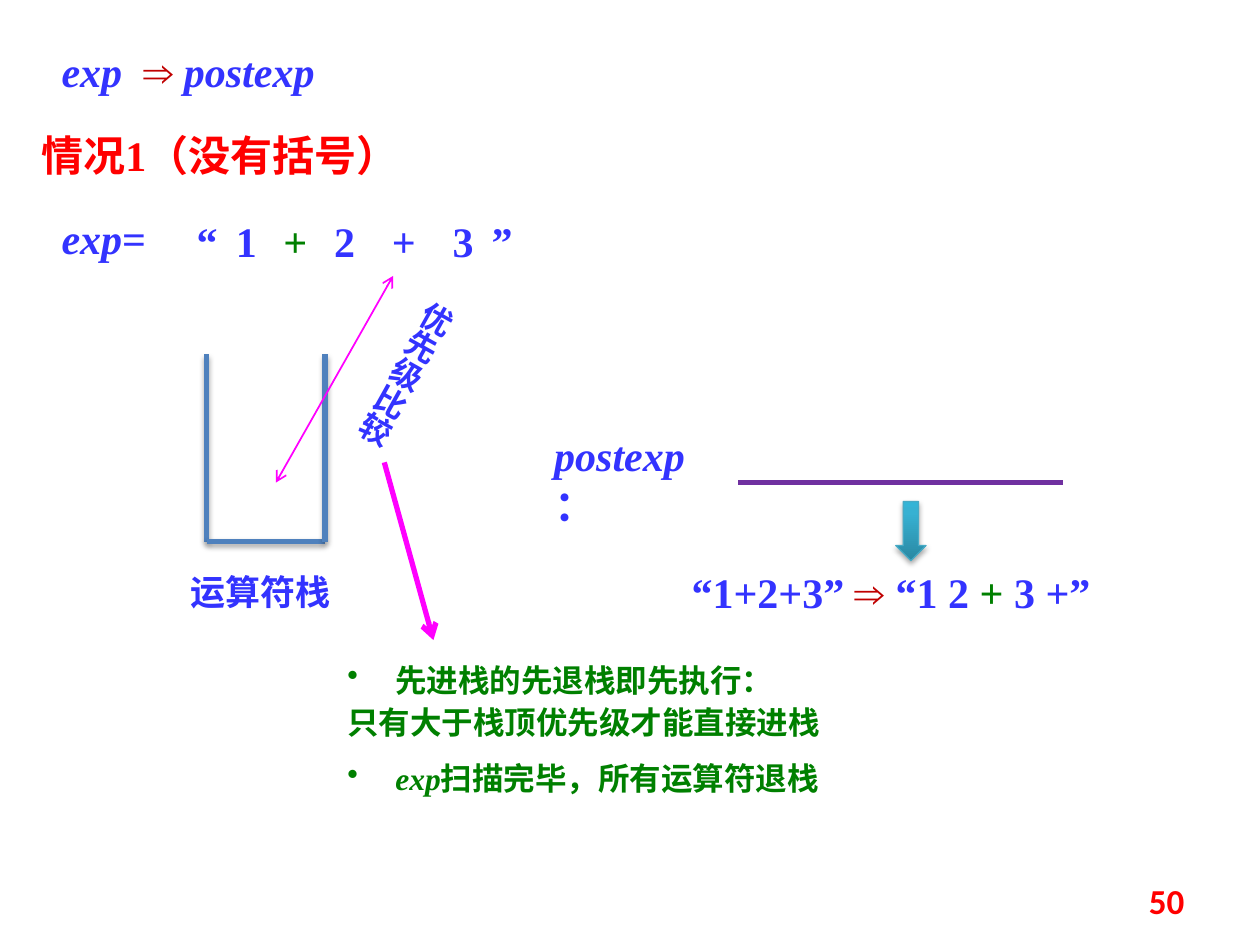
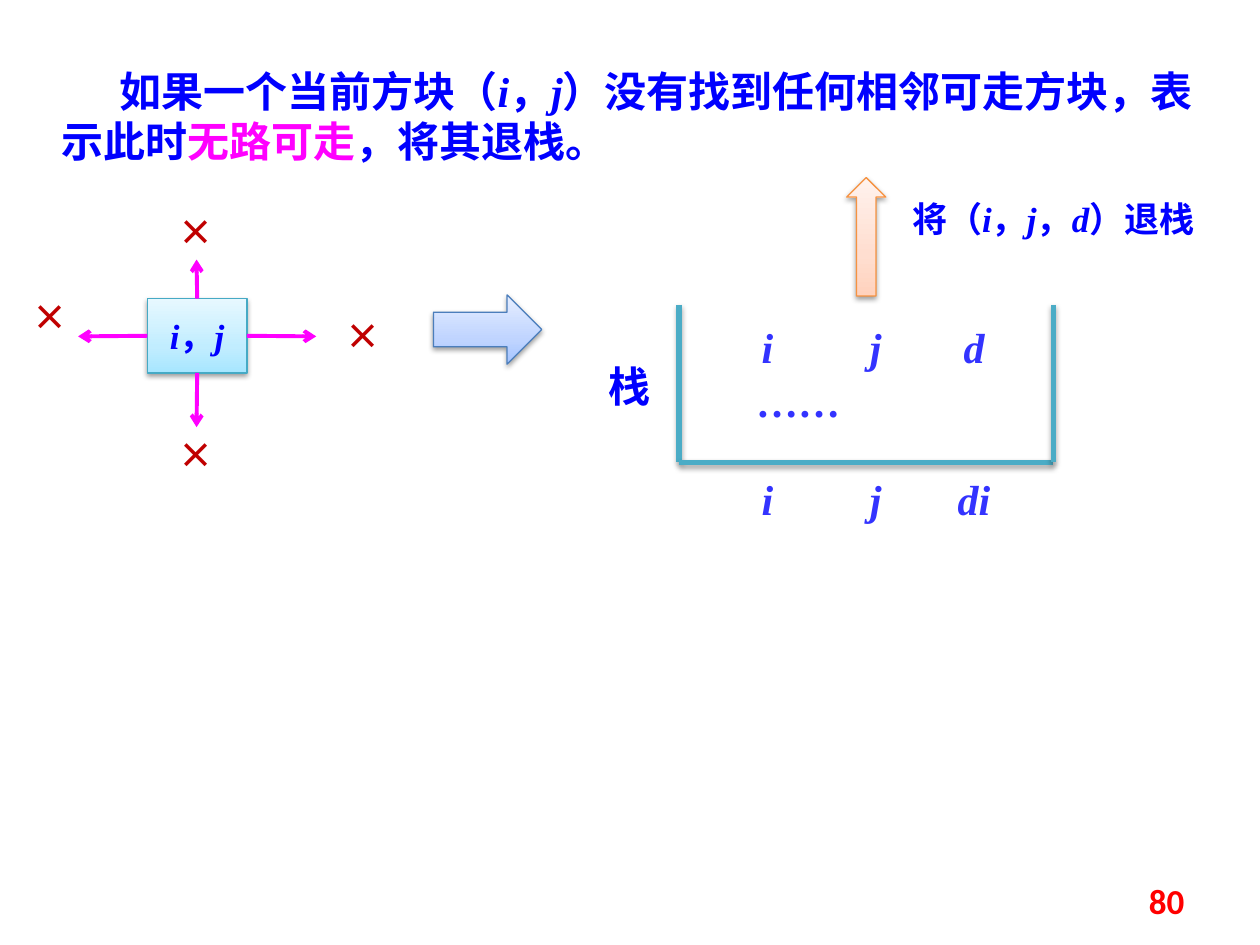
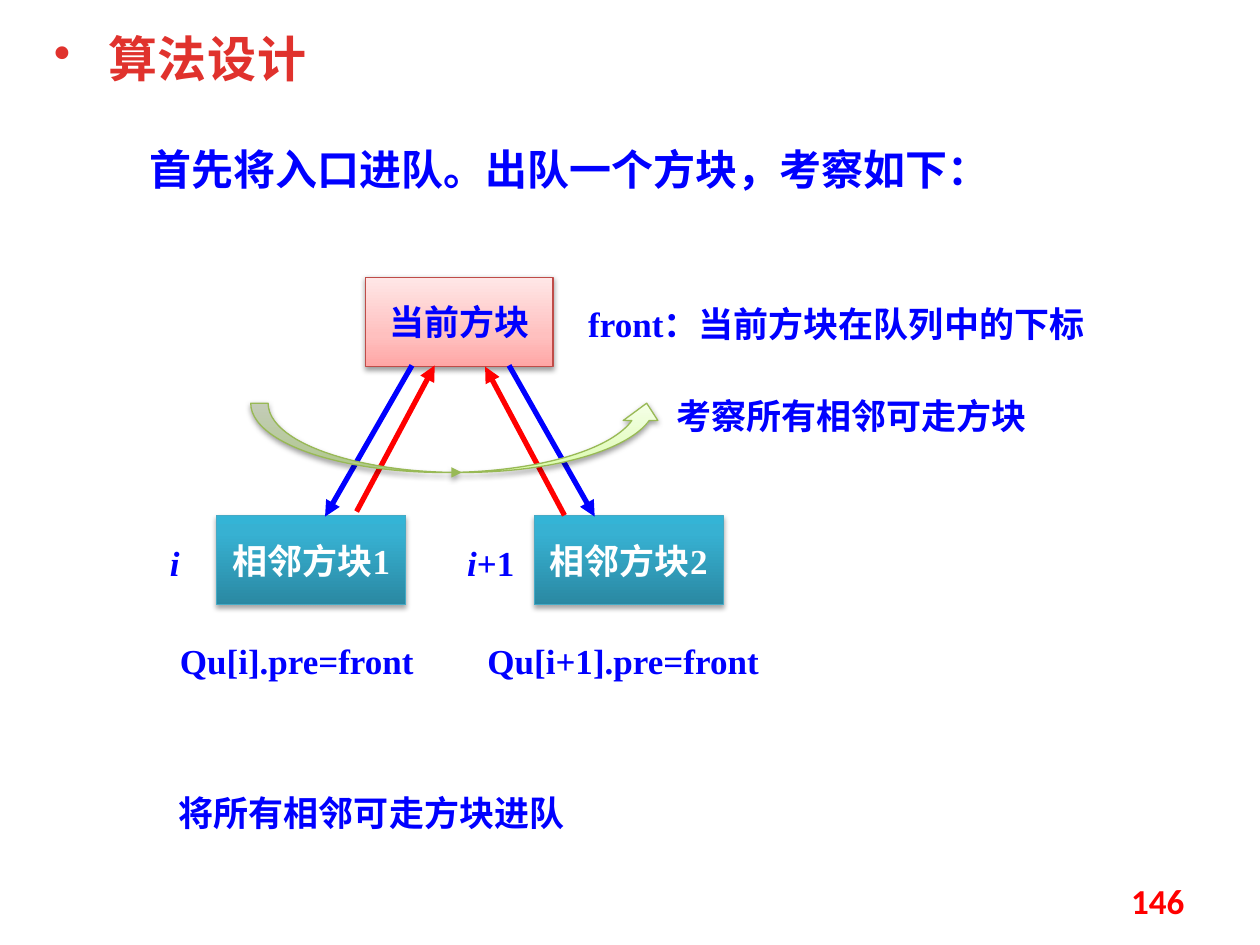
from lxml.etree import SubElement
from pptx import Presentation
from pptx.dml.color import RGBColor
from pptx.enum.shapes import MSO_CONNECTOR, MSO_SHAPE as SHAPE
from pptx.enum.text import MSO_ANCHOR, MSO_AUTO_SIZE, PP_ALIGN as ALIGN
from pptx.oxml.ns import qn
from pptx.util import Inches, Pt

# Shared look
COLUMNS, ROWS = 10, 7.5
COLUMN = Inches(10) / COLUMNS
ROW = Inches(7.5) / ROWS

COLORS = {
    "indigo": "3333FF", "blue": "0000FF", "red": "FF0000", "crimson": "C00000",
    "green": "008000", "magenta": "FF00FF", "purple": "7030A0", "white": "FFFFFF",
    "steel": "4F81BD", "aqua": "4BACC6", "title": "E0322D", "black": "000000",
}
SERIF, SANS = "Times New Roman", "Noto Sans CJK SC"
BASE = {"name": SERIF, "size": 24, "bold": True, "italic": False, "color": "indigo"}

# Shadows: opacity in percent, distance in points
STRONG, SOFT = (35, 1.8), (38, 1.6)
# Block looks: gradient stops from the bottom up, outline, shadow
LOOKS = {
    "teal": ([(0, "2A88A2"), (80, "37B1D2"), (100, "34B4D6")], "46AAC5", STRONG),
    "sky": ([(0, "A7E6FF"), (35, "C1EDFF"), (100, "E7F8FF")], "46AAC5", SOFT),
    "peach": ([(0, "FFD2BD"), (35, "FFDED0"), (100, "FFF2ED")], "F69240", SOFT),
    "pale": ([(0, "A4C4FF"), (35, "BFD4FF"), (100, "E6EEFF")], "4B7EBC", SOFT),
    "rose": ([(0, "FFA6A5"), (35, "FFC0BF"), (100, "FFE7E7")], "BF4C48", SOFT),
    "lime": ([(0, "DAFDA7"), (35, "E4FCC2"), (100, "F5FFE7")], "98B955", SOFT),
}

# Run and box formats
ITALIC = {"italic": True}
CRIMSON, GREEN, PINK = ({"color": name} for name in ("crimson", "green", "magenta"))
BLUE = {"color": "blue"}
BLUE_20 = {"color": "blue", "size": 20}
LABEL = {"name": SANS, "size": 20}
NOTE = {"name": SANS, "size": 18, "color": "green"}
CROSS = {**LABEL, **CRIMSON}
WHITE_20 = {"color": "white", "size": 20}
BULLET = {"indent": (0.38, -0.38), "bullet": True, "line_spacing": Pt(24)}
CENTER = {"align": ALIGN.CENTER}
TIGHT = {**CENTER, "inset": 0}
TOP, LEFT, BOTTOM, RIGHT = range(4)

# Slide 1: characters of the expression, each with its left edge
EXPRESSION = [("“", 1.41), ("1", 1.72), ("+", 2.11), ("2", 2.5),
              ("+", 2.97), ("3", 3.44), ("”", 3.75)]
PRIORITY_SLIDE = [
    ("text", (0.39, 0.31, 2.73, 0.5),
     [[("exp", ITALIC), (" ", {"spacing": 6}), ("⇒ ", CRIMSON), ("postexp", ITALIC)]]),
    ("text", (0.23, 0.98, 3.36, 0.5), ["情况1（没有括号）"], {"color": "red"}),
    ("text", (0.39, 1.64, 1.02, 0.5), [[("exp", ITALIC), "="]]),
    ("stack", (1.64, 2.81, 2.58, 4.3), "steel"),
    ("text", (1.41, 4.48, 1.41, 0.44), ["运算符栈"], LABEL),
    ("text", (4.3, 3.36, 1.56, 0.5), [[("postexp", ITALIC), "："]]),
    ("line", (5.86, 3.83), (8.44, 3.83), "purple", 3),
    *[("text", (left, 1.71, 0.47, 0.4), [sign],
       GREEN if (sign, left) == ("+", 2.11) else {}, TIGHT) for sign, left in EXPRESSION],
    ("line", (3.12, 2.19), (2.19, 3.83), "magenta", 1, {"headEnd": "arrow", "tailEnd": "arrow"}),
    ("text", (2.84, 2.2, 0.5, 1.8), ["优先级比较"], {"name": SANS, "size": 18},
     {**CENTER, "rotation": 29.1, "vertical": "eaVert"}),
    ("text", (2.66, 5.16, 4.84, 0.77),
     ["先进栈的先退栈即先执行：", "只有大于栈顶优先级才能直接进栈"], NOTE, BULLET),
    ("line", (3.05, 3.67), (3.44, 5.08), "magenta", 3, {"tailEnd": "arrow"}),
    ("block", SHAPE.DOWN_ARROW, (7.11, 3.98, 0.24, 0.47), "teal"),
    ("text", (5.39, 4.45, 4.22, 0.5),
     [["“1+2+3”", (" ⇒ ", CRIMSON), "“1 2 ", ("+", GREEN), " 3 +”"]]),
    ("text", (2.66, 5.94, 4.84, 0.44),
     [[("exp", {"name": SERIF, "italic": True}), "扫描完毕，所有运算符退栈"]], NOTE, BULLET),
]

# Slide 2: the four ways out of a square, and the stack entries
WAYS = [(RIGHT, (2.51, 2.67)), (BOTTOM, (1.56, 3.39)), (LEFT, (0.62, 2.67)), (TOP, (1.56, 2.06))]
CROSSES = [(2.57, 2.45), (1.24, 1.62), (1.24, 3.39), (0.08, 2.3)]
ENTRY_COLUMNS = (5.7, 6.56, 7.34)
ENTRIES = [(2.5, ("i", "j", "d")), (3.71, ("i", "j", "di"))]
BACKTRACK_SLIDE = [
    ("text", (0.39, 0.47, 9.45, 0.91),
     [["如果一个当前方块（", ("i", ITALIC), "，", ("j", ITALIC),
       "）没有找到任何相邻可走方块，表示此时", ("无路可走", PINK), "，将其退栈。"]],
     BLUE, {"indent": (0, 0.46)}),
    ("block", SHAPE.RECTANGLE, (1.17, 2.37, 0.79, 0.59), "sky",
     [[("i", ITALIC), "，", ("j", ITALIC)]], BLUE_20),
    *[("line", side, end, "magenta", 2.25, {"tailEnd": "arrow"}) for side, end in WAYS],
    *[("text", (*corner, 0.63, 0.44), ["×"], CROSS, CENTER) for corner in CROSSES],
    *[("text", (left, top, 0.78, 0.5), [name], ITALIC, CENTER)
      for top, names in ENTRIES for left, name in zip(ENTRY_COLUMNS, names)],
    ("stack", (5.39, 2.42, 8.36, 3.67), "aqua"),
    ("text", (4.53, 2.81, 0.94, 0.5), ["栈"], {"name": SANS, "color": "blue"}, CENTER),
    ("text", (7.03, 1.52, 2.66, 0.44),
     [["将（", ("i", ITALIC), "，", ("j", ITALIC), "，", ("d", ITALIC), "）退栈"]],
     BLUE_20, CENTER),
    ("block", SHAPE.UP_ARROW, (6.72, 1.41, 0.31, 0.94), "peach"),
    ("block", SHAPE.RIGHT_ARROW, (3.44, 2.34, 0.86, 0.55), "pale"),
    ("text", (5.63, 2.93, 1.41, 0.5), ["……"], {}, CENTER),
]

# Slide 3: arrows between the current square and its neighbours
MOVES = [((3.27, 2.9), (2.58, 4.1), "blue"), ((4.04, 2.9), (4.72, 4.1), "blue"),
         ((2.83, 4.06), (3.45, 2.9), "red"), ((4.48, 4.09), (3.85, 2.91), "red")]
CAPTIONS = [
    ((4.57, 2.35, 4.22, 0.44), "front：当前方块在队列中的下标"),
    ((1.25, 4.25, 0.31, 0.43), [("i", ITALIC)]),
    ((3.61, 4.25, 0.63, 0.43), [("i", ITALIC), "+1"]),
    ((1.33, 5.03, 2.2, 0.43), "Qu[i].pre=front"),
    ((3.77, 5.03, 2.52, 0.43), "Qu[i+1].pre=front"),
    ((5.27, 3.08, 3.13, 0.44), "考察所有相邻可走方块"),
    ((1.32, 6.23, 4.22, 0.44), "将所有相邻可走方块进队"),
]
QUEUE_SLIDE = [
    ("block", SHAPE.RECTANGLE, (2.9, 2.2, 1.49, 0.71), "rose", ["当前方块"], BLUE_20),
    *[("block", SHAPE.RECTANGLE, (left, 4.09, 1.5, 0.71), "teal", [name], WHITE_20)
      for left, name in ((1.72, "相邻方块1"), (4.24, "相邻方块2"))],
    *[("line", start, end, color, 3, {"tailEnd": "triangle"}) for start, end, color in MOVES],
    ("text", (0.33, 0.23, 2.8, 0.53), ["算法设计"],
     {"name": SANS, "size": 28, "color": "title", "spacing": 0.5},
     {"indent": (0.43, -0.43), "bullet": True, "line_spacing": 0.9}),
    ("text", (1.09, 1.09, 7.03, 0.5), ["首先将入口进队。出队一个方块，考察如下："], BLUE),
    ("block", SHAPE.CURVED_UP_ARROW, (1.99, 3.2, 3.28, 0.55), "lime", [], {},
     {"tailEnd": "triangle"}),
    *[("text", area, [runs], BLUE_20) for area, runs in CAPTIONS],
]

SLIDES = [(50, PRIORITY_SLIDE), (80, BACKTRACK_SLIDE), (146, QUEUE_SLIDE)]


def place(area):
    """Turn grid columns and rows into slide lengths."""
    return [round(value * unit) for value, unit in zip(area, (COLUMN, ROW) * 2)]


def add_color(parent, value):
    return SubElement(parent, qn("a:srgbClr"), val=value)


def write_run(paragraph, text, style):
    run = paragraph.add_run()
    run.text = text
    values = {**BASE, **style}
    values["size"] = Pt(values["size"])
    run.font.color.rgb = RGBColor.from_string(COLORS[values.pop("color")])
    spacing = values.pop("spacing", None)
    for key, value in values.items():
        setattr(run.font, key, value)
    properties = run.font.color and run._r.get_or_add_rPr()
    SubElement(properties, qn("a:ea"), typeface=SANS)
    if spacing:
        properties.set("spc", str(round(spacing * 100)))


def write_text(frame, paragraphs, style, align=ALIGN.LEFT, line_spacing=None,
               indent=None, bullet=False):
    for index, runs in enumerate(paragraphs):
        paragraph = frame.add_paragraph() if index else frame.paragraphs[0]
        paragraph.alignment = align
        paragraph.line_spacing = line_spacing
        if indent and index == 0:
            properties = paragraph._p.get_or_add_pPr()
            for key, value in zip(("marL", "indent"), indent):
                properties.set(key, str(Inches(value)))
            if bullet:
                SubElement(properties, qn("a:buChar"), char="•")
        for run in [runs] if isinstance(runs, str) else runs:
            text, override = (run, {}) if isinstance(run, str) else run
            write_run(paragraph, text, {**style, **override})


def add_text(slide, area, paragraphs, style={}, layout={}):
    layout = dict(layout)
    box = slide.shapes.add_textbox(*place(area))
    box.rotation = layout.pop("rotation", 0)
    frame = box.text_frame
    frame.word_wrap = True
    frame.auto_size = MSO_AUTO_SIZE.SHAPE_TO_FIT_TEXT
    if "inset" in layout:
        inset = layout.pop("inset")
        for side in ("left", "top", "right", "bottom"):
            setattr(frame, f"margin_{side}", inset)
    if "vertical" in layout:
        box.element.txBody.bodyPr.set("vert", layout.pop("vertical"))
    write_text(frame, paragraphs, style, **layout)
    return box


def finish_outline(shape, color, width, ends={}, shadow=None):
    """Set outline, arrowheads and shadow of a block or a line."""
    shape.line.color.rgb = RGBColor.from_string(color)
    shape.line.width = Pt(width)
    outline = shape.element.spPr.find(qn("a:ln"))
    for end, kind in ends.items():
        SubElement(outline, qn(f"a:{end}"), type=kind)
    effects = SubElement(shape.element.spPr, qn("a:effectLst"))
    if shadow:
        opacity, distance = shadow
        outer = SubElement(effects, qn("a:outerShdw"), blurRad=str(Pt(3.1)),
                           dist=str(Pt(distance)), dir="5400000", rotWithShape="0")
        SubElement(add_color(outer, COLORS["black"]), qn("a:alpha"), val=str(opacity * 1000))


def add_block(slide, preset, area, look, paragraphs=(), style={}, ends={}):
    stops, outline, shadow = LOOKS[look]
    block = slide.shapes.add_shape(preset, *place(area))
    block.fill.gradient()
    block.fill.gradient_angle = 90
    stop_list = block.element.spPr.find(qn("a:gradFill")).find(qn("a:gsLst"))
    for stop in list(stop_list):
        stop_list.remove(stop)
    for position, color in stops:
        add_color(SubElement(stop_list, qn("a:gs"), pos=str(position * 1000)), color)
    finish_outline(block, outline, 0.75, ends, shadow)
    frame = block.text_frame
    frame.word_wrap = False
    frame.vertical_anchor = MSO_ANCHOR.MIDDLE
    write_text(frame, paragraphs, style, ALIGN.CENTER)


def add_line(slide, start, end, color, width, ends={}, shadow=None):
    """Draw a line; a start given as a side joins the latest block there."""
    joined = isinstance(start, int)
    blocks = [shape for shape in slide.shapes if shape.element.tag == qn("p:sp")]
    begin = end if joined else start
    line = slide.shapes.add_connector(MSO_CONNECTOR.STRAIGHT, *place(begin), *place(end))
    if joined:
        line.begin_connect(blocks[-1], start)
    finish_outline(line, COLORS[color], width, ends, shadow)


def add_stack(slide, edges, color):
    left, top, right, bottom = edges
    for start, end in (((left, top), (left, bottom)), ((left, bottom), (right, bottom)),
                       ((right, top), (right, bottom))):
        add_line(slide, start, end, color, 3, shadow=STRONG)


def add_page_number(slide, number):
    box = add_text(slide, (7.17, 6.95, 2.33, 0.4), [str(number)],
                   {"name": "Calibri", "size": 20, "color": "red"}, {"align": ALIGN.RIGHT})
    box.text_frame.auto_size = MSO_AUTO_SIZE.NONE
    box.text_frame.vertical_anchor = MSO_ANCHOR.MIDDLE


DRAW = {"text": add_text, "block": add_block, "line": add_line, "stack": add_stack}


def main():
    presentation = Presentation()
    presentation.slide_width = round(COLUMNS * COLUMN)
    presentation.slide_height = round(ROWS * ROW)
    for number, parts in SLIDES:
        slide = presentation.slides.add_slide(presentation.slide_layouts[6])
        for kind, *values in parts:
            DRAW[kind](slide, *values)
        add_page_number(slide, number)
    presentation.save("out.pptx")


if __name__ == "__main__":
    main()
